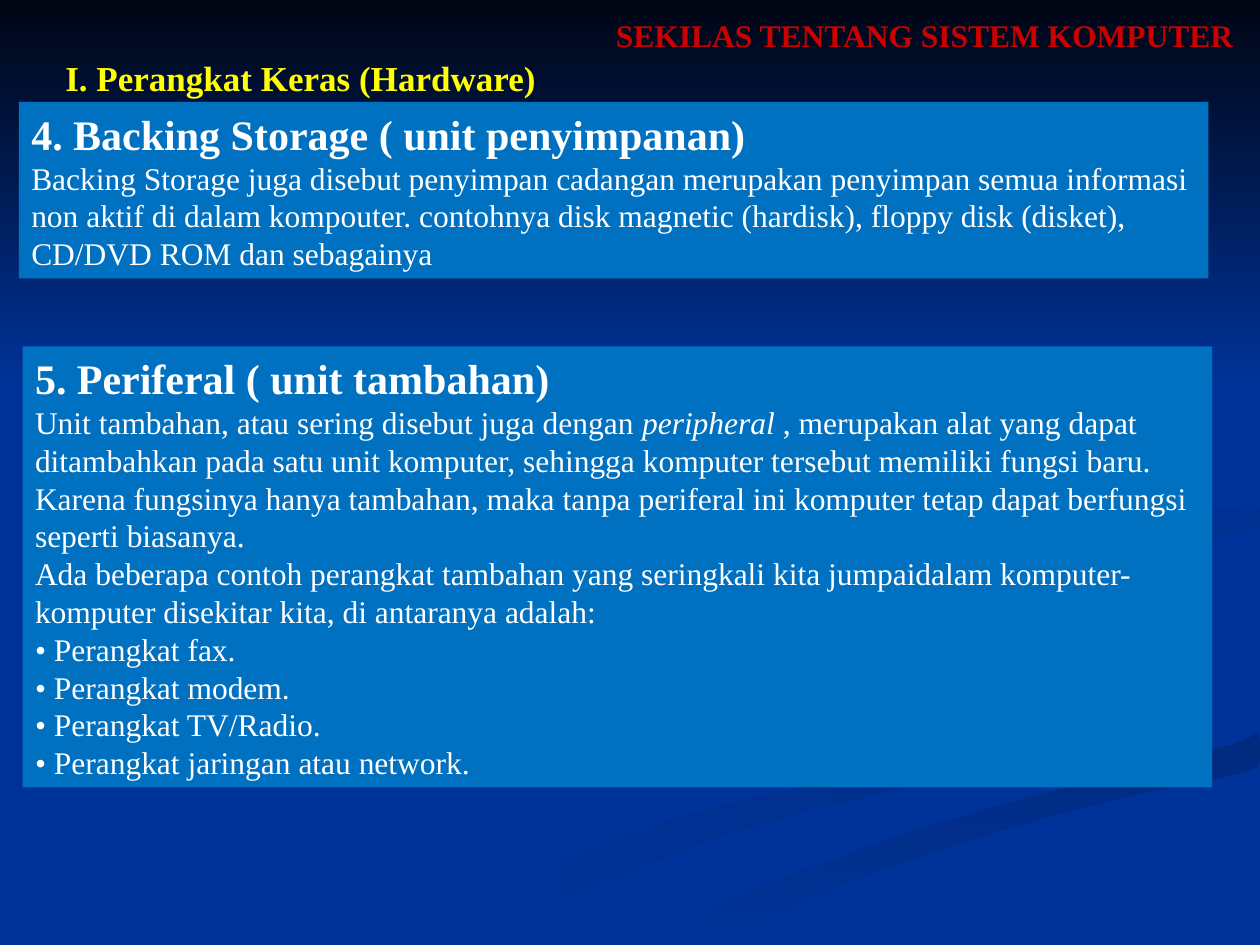
from collections import namedtuple
from pptx import Presentation
from pptx.dml.color import RGBColor as Color
from pptx.enum.shapes import MSO_SHAPE as Shape
from pptx.enum.text import MSO_ANCHOR as Anchor, MSO_AUTO_SIZE as Fit, PP_ALIGN as Align
from pptx.util import Inches, Pt

COLUMNS, ROWS = 1000, 750
CELL = Inches(10) // COLUMNS
STEPS = 6
FONT = "Times New Roman"
NAVY, PANEL, WHITE, RED, YELLOW = "003399", "0070C0", "FFFFFF", "CC0000", "FFFF00"
HEAD = {"size": Pt(24), "bold": True}
BODY = {"size": Pt(18), "bold": False}
ITALIC = {**BODY, "italic": True}
PANEL_WIDTH = 944

Station = namedtuple("Station", "middle row width")
Ribbon = namedtuple("Ribbon", "first last angle stations")

RIBBONS = {
    "left bend": Ribbon(NAVY, "002E8B", 0, [
        (573, 459, 2), (590, 488, 6), (682, 520, 12), (779, 554, 10),
        (792, 581, 15), (715, 615, 77), (544, 660, 82), (330, 749, 61)]),
    "lower sweep": Ribbon("002A7D", NAVY, 90, [
        (998, 581, 0), (952, 609, 92), (865, 630, 76),
        (729, 669, 66), (627, 707, 58), (537, 749, 68)]),
    "wide bend": Ribbon(NAVY, NAVY, 0, [
        (999, 387, 0), (957, 402, 84), (810, 427, 81), (753, 464, 56),
        (783, 492, 68), (950, 538, 99), (970, 581, 58), (892, 609, 30),
        (748, 647, 34), (615, 693, 30), (490, 749, 26)]),
    "right hook": Ribbon("002D86", NAVY, 45, [
        (998, 402, 0), (917, 420, 162), (847, 435, 98),
        (796, 465, 29), (826, 496, 0)]),
    "upper hook": Ribbon("002B82", NAVY, 45, [
        (762, 233, 0), (862, 291, 4), (892, 340, 5), (825, 391, 60),
        (752, 409, 96), (648, 430, 70), (586, 470, 15), (622, 500, 0)]),
}

DEVICES = ["fax", "modem", "TV/Radio", "jaringan atau network"]
STORAGE = [
    [("4. Backing Storage ( unit penyimpanan)", HEAD)],
    [("Backing Storage juga disebut penyimpan cadangan merupakan penyimpan semua "
      "informasi non aktif di dalam kompouter. contohnya disk magnetic (hardisk), "
      "floppy disk (disket), CD/DVD ROM dan sebagainya", BODY)],
]
PERIPHERAL = [
    [("5. Periferal ( unit tambahan)", HEAD)],
    [("Unit tambahan, atau sering disebut juga dengan", BODY),
     (" peripheral ", ITALIC),
     (", merupakan alat yang dapat ditambahkan pada satu unit komputer, sehingga "
      "komputer tersebut memiliki fungsi baru. Karena fungsinya hanya tambahan, maka "
      "tanpa periferal ini komputer tetap dapat berfungsi seperti biasanya.", BODY)],
    [("Ada beberapa contoh perangkat tambahan yang seringkali kita jumpaidalam "
      "komputer-komputer disekitar kita, di antaranya adalah:", BODY)],
    *[[(f"• Perangkat {device}.", BODY)] for device in DEVICES],
]


def color(value):
    """Turn a hex string into a colour."""
    return Color.from_string(value)


def paint(target, value):
    """Fill a shape or background with one solid colour."""
    target.fill.solid()
    target.fill.fore_color.rgb = color(value)


def fade(shape, first, last, angle):
    """Fill a shape with a two-colour gradient turned clockwise by angle."""
    shape.fill.gradient()
    shape.fill.gradient_angle = -angle % 360
    for stop, value in zip(shape.fill.gradient_stops, (first, last)):
        stop.color.rgb = color(value)


def make_flat(shape):
    """Remove the shadow and the border of a shape."""
    shape.shadow.inherit = False
    shape.line.fill.background()


def blend(before, start, end, after, share):
    """Return the Catmull-Rom value at a share of the way from start to end."""
    slope = end - before
    bend = 2 * before - 5 * start + 4 * end - after
    twist = 3 * (start - end) + after - before
    return start + share * (slope + share * (bend + share * twist)) / 2


def smooth(stations):
    """Add evenly spaced stations on a curve through the given ones."""
    padded = [stations[0], *stations, stations[-1]]
    curve = [Station(*(blend(*channel, step / STEPS) for channel in zip(*group)))
             for group in zip(padded, padded[1:], padded[2:], padded[3:])
             for step in range(STEPS)]
    return [*curve, Station(*stations[-1])]


def outline(stations):
    """Walk down the left edge of a ribbon and back up its right edge."""
    def edge(side):
        return [(min(spot.middle + side * max(spot.width, 0) / 2, COLUMNS), spot.row)
                for spot in smooth(stations)]
    return edge(-1) + edge(1)[::-1]


def add_ribbon(page, ribbon):
    """Draw one curved band of the backdrop."""
    points = outline(ribbon.stations)
    builder = page.shapes.build_freeform(*points[0], scale=CELL)
    builder.add_line_segments(points[1:], close=True)
    band = builder.convert_to_shape()
    make_flat(band)
    if ribbon.first == ribbon.last:
        paint(band, ribbon.first)
    else:
        fade(band, ribbon.first, ribbon.last, ribbon.angle)


def add_rectangle(page, area):
    """Add a flat rectangle at left, top, width and height in cells."""
    box = page.shapes.add_shape(Shape.RECTANGLE, *(CELL * part for part in area))
    make_flat(box)
    return box


def write(box, paragraphs, value):
    """Write paragraphs of formatted spans into a box."""
    frame = box.text_frame
    layout = {"word_wrap": True, "auto_size": Fit.SHAPE_TO_FIT_TEXT,
              "vertical_anchor": Anchor.TOP}
    for name, setting in layout.items():
        setattr(frame, name, setting)
    for index, spans in enumerate(paragraphs):
        para = frame.add_paragraph() if index else frame.paragraphs[0]
        para.alignment = Align.LEFT
        for text, style in spans:
            span = para.add_run()
            span.text = text
            for name, setting in {"name": FONT, **style}.items():
                setattr(span.font, name, setting)
            span.font.color.rgb = color(value)


def add_panel(page, left, top, height, paragraphs):
    """Add a filled rectangle holding one topic."""
    panel = add_rectangle(page, (left, top, PANEL_WIDTH, height))
    paint(panel, PANEL)
    write(panel, paragraphs, WHITE)


def add_heading(page, area, text, size, value):
    """Add a bold heading in a text box."""
    box = page.shapes.add_textbox(*(CELL * part for part in area))
    write(box, [[(text, {"size": Pt(size), "bold": True})]], value)


def add_backdrop(page):
    """Paint the background, its ribbons and the dark sky above them."""
    paint(page.background, NAVY)
    for ribbon in RIBBONS.values():
        add_ribbon(page, ribbon)
    sky = add_rectangle(page, (0, 0, COLUMNS, 308))
    fade(sky, "000514", NAVY, 90)


def main():
    """Build and save the slide."""
    deck = Presentation()
    deck.slide_width, deck.slide_height = CELL * COLUMNS, CELL * ROWS
    page = deck.slides.add_slide(deck.slide_layouts[6])
    add_backdrop(page)
    add_panel(page, 15, 81, 140, STORAGE)
    add_heading(page, (479, 8, 513, 70), "SEKILAS TENTANG SISTEM KOMPUTER", 18, RED)
    add_heading(page, (42, 40, 625, 44), "I. Perangkat Keras (Hardware)", 20, YELLOW)
    add_panel(page, 18, 275, 350, PERIPHERAL)
    deck.save("out.pptx")


if __name__ == "__main__":
    main()
